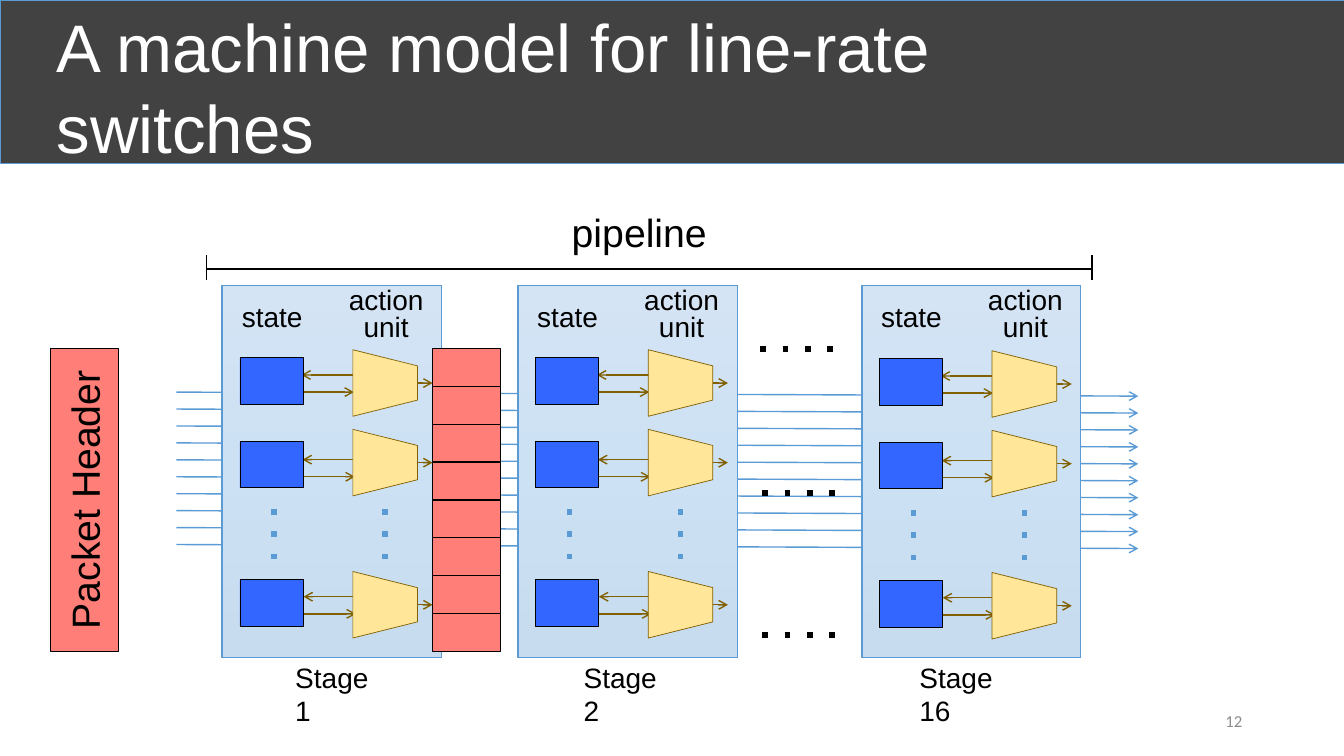
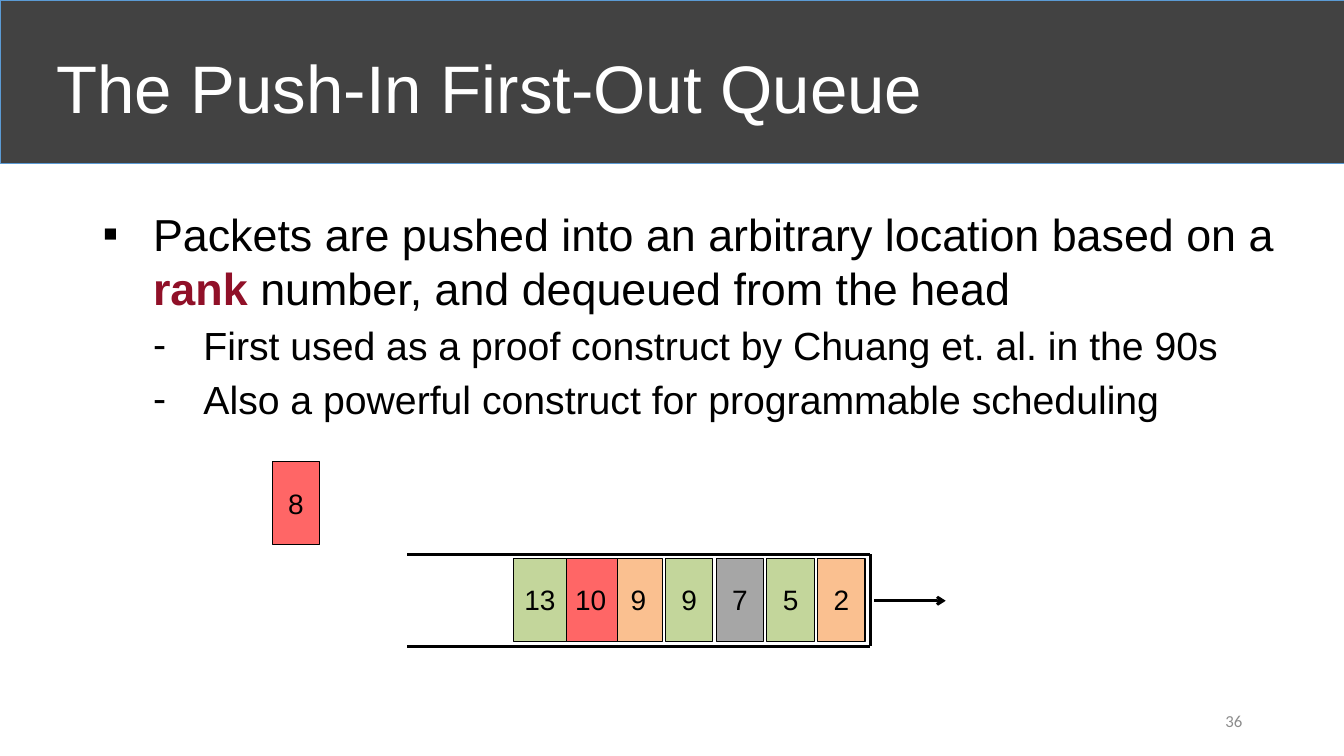
"""Build two slides: a switch pipeline model and the push-in first-out queue."""
import copy

import lxml.etree
import pptx
import pptx.dml.color
import pptx.enum.shapes
import pptx.enum.text
import pptx.oxml.ns
import pptx.util

Inches = pptx.util.Inches
Pt = pptx.util.Pt
RGBColor = pptx.dml.color.RGBColor
PRESET = pptx.enum.shapes.MSO_SHAPE
ALIGN = pptx.enum.text.PP_ALIGN
ANCHOR = pptx.enum.text.MSO_ANCHOR
qn = pptx.oxml.ns.qn

BLACK = RGBColor(0x00, 0x00, 0x00)
WHITE = RGBColor(0xFF, 0xFF, 0xFF)
CHARCOAL = RGBColor(0x42, 0x42, 0x42)
PAGE_GRAY = RGBColor(0x8C, 0x8C, 0x8C)
SKY = RGBColor(0x5B, 0x9B, 0xD5)
PANEL_TOP = RGBColor(0x71, 0xA6, 0xDB)
PANEL_MIDDLE = RGBColor(0x55, 0x9B, 0xDB)
PANEL_BOTTOM = RGBColor(0x44, 0x8A, 0xCA)
SALMON = RGBColor(0xFF, 0x7E, 0x77)
STATE_BLUE = RGBColor(0x33, 0x66, 0xFF)
UNIT_YELLOW = RGBColor(0xFF, 0xE6, 0x99)
BROWN = RGBColor(0x80, 0x60, 0x00)
RANK_RED = RGBColor(0x90, 0x10, 0x28)
ORANGE = RGBColor(0xFA, 0xC0, 0x90)
GREEN = RGBColor(0xC3, 0xD6, 0x9B)
GRAY = RGBColor(0xA6, 0xA6, 0xA6)
RED = RGBColor(0xFF, 0x66, 0x66)

TITLE_FRAME = {
    "auto_size": pptx.enum.text.MSO_AUTO_SIZE.NONE,
    "word_wrap": True,
    "vertical_anchor": ANCHOR.MIDDLE,
}
TITLE_FONT = {"name": "Arial", "size": Pt(48), "bold": False}
CENTERED = {"alignment": ALIGN.CENTER}
TIGHT = {"alignment": ALIGN.CENTER, "line_spacing": 0.8}
PADDED = {
    "margin_left": Inches(0.14),
    "margin_right": Inches(0.14),
    "margin_top": Inches(0.07),
    "margin_bottom": Inches(0.07),
}


def add_box(slide, place, text="", size=20, fill=None, outline=BLACK, weight=0.5,
            preset=PRESET.RECTANGLE, frame={}, layout={}, ink=BLACK, face="Arial"):
    place = [Inches(length) for length in place]
    if fill is None:
        box = slide.shapes.add_textbox(*place)
    else:
        box = slide.shapes.add_shape(preset, *place)
        box.shadow.inherit = False
        box.fill.solid()
        box.fill.fore_color.rgb = fill
        box.line.color.rgb = outline
        box.line.width = Pt(weight)
    if text:
        paragraph = box.text_frame.paragraphs[0]
        run = paragraph.add_run()
        run.text = text
        run.font.color.rgb = ink
        for target, values in (
            (box.text_frame, {"word_wrap": True, **frame}),
            (paragraph, layout),
            (run.font, {"name": face, "size": Pt(size)}),
        ):
            for key, value in values.items():
                setattr(target, key, value)
    return box


def add_line(slide, x1, y1, x2, y2, color=BLACK, weight=1, dotted=False, arrow=False):
    line = slide.shapes.add_connector(
        pptx.enum.shapes.MSO_CONNECTOR.STRAIGHT,
        Inches(x1), Inches(y1), Inches(x2), Inches(y2))
    line.line.color.rgb = color
    line.line.width = Pt(weight)
    stroke = line.line._get_or_add_ln()
    if dotted:
        lxml.etree.SubElement(stroke, qn("a:prstDash"), val="dot")
    if arrow:
        lxml.etree.SubElement(stroke, qn("a:tailEnd"), type="arrow")
    lxml.etree.SubElement(line._element.spPr, qn("a:effectLst"))


deck = pptx.Presentation()
deck.slide_width = Inches(13.33)
deck.slide_height = Inches(7.5)
title_only = deck.slide_layouts[5]
pages = []
for heading, number in (
    ("A machine model for line-rate switches", "12"),
    ("The Push-In First-Out Queue", "36"),
):
    page = deck.slides.add_slide(title_only)
    title = page.shapes.title
    title.left, title.top = Inches(0.46), Inches(0.13)
    title.width, title.height = Inches(11.5), Inches(1.45)
    title.text = heading
    paragraph = title.text_frame.paragraphs[0]
    paragraph.alignment = ALIGN.LEFT
    paragraph.font.color.rgb = WHITE
    for target, values in ((title.text_frame, TITLE_FRAME), (paragraph.font, TITLE_FONT)):
        for key, value in values.items():
            setattr(target, key, value)
    add_box(page, (9.42, 6.95, 3, 0.4), number, 12, ink=PAGE_GRAY, face="Calibri",
            frame={"vertical_anchor": ANCHOR.MIDDLE}, layout={"alignment": ALIGN.RIGHT})
    pages.append(page)
model, queue = pages

band = add_box(model, (0, 0, 13.33, 1.62), fill=CHARCOAL, outline=SKY)
title_only.shapes.element.insert(2, band._element)

for lane in range(10):
    lane_y = 3.89 + 0.168 * lane
    add_line(model, 1.75, lane_y, 11.29, lane_y + 0.04, SKY, arrow=True)
for dots_x, dots_y in ((7.54, 3.46), (7.56, 4.89), (7.56, 6.3)):
    add_line(model, dots_x, dots_y, dots_x + 0.86, dots_y, weight=4, dotted=True)

for bracket_x in (2.05, 10.83):
    add_line(model, bracket_x, 2.53, bracket_x, 2.78)
add_line(model, 10.83, 2.67, 2.05, 2.67)
add_box(model, (4.89, 2, 2.9, 0.62), "pipeline", 28, frame=PADDED, layout=CENTERED)

stages = (
    ("Stage 1", 2.2, 2.83, 1.03, 0),
    ("Stage 2", 5.13, 5.69, 1.07, 0),
    ("Stage 16", 8.54, 9.02, 1.18, 0.01),
)
for stage, left, label_left, label_width, drop in stages:
    panel = add_box(model, (left, 2.83, 2.18, 3.69), fill=SKY, outline=SKY)
    panel.fill.gradient()
    panel.fill.gradient_angle = 270
    stop_list = panel._element.find(".//" + qn("a:gsLst"))
    stop_list.insert(1, copy.deepcopy(stop_list[0]))
    gradient = zip(panel.fill.gradient_stops, (0, 0.5, 1),
                   (PANEL_TOP, PANEL_MIDDLE, PANEL_BOTTOM))
    for stop, position, shade in gradient:
        stop.position = position
        stop.color.rgb = shade
    veil = add_box(model, (left + 0.01, 2.83, 2.17, 3.69), fill=WHITE, outline=SKY)
    tint = veil._element.spPr.find(qn("a:solidFill"))[0]
    lxml.etree.SubElement(tint, qn("a:alpha"), val="70000")
    add_box(model, (label_left, 6.5, label_width, 0.44), stage)

packet_header = add_box(model, (0.5, 3.46, 0.67, 3), "Packet Header", 28, SALMON,
                        frame={"vertical_anchor": ANCHOR.MIDDLE}, layout=CENTERED)
packet_header.text_frame._txBody.bodyPr.set("vert", "vert270")
add_box(model, (4.29, 3.46, 0.67, 3), fill=SALMON)
for field in range(1, 8):
    field_y = 3.46 + 3 / 8 * field
    add_line(model, 4.29, field_y, 4.96, field_y)

for stage, left, label_left, label_width, drop in stages:
    rows = ((3.55, 3.72, 3.48), (4.38, 4.56, 4.27), (5.75, 5.92, 5.68))
    for row, (state_y, read_y, unit_y) in enumerate(rows):
        shift = left + 0.01 * row
        read_y += drop
        write_y = read_y + 0.17
        out_y = unit_y + drop + 0.32
        add_line(model, shift + 0.52, write_y, shift + 1.31, write_y, BROWN, arrow=True)
        add_line(model, shift + 1.38, read_y, shift + 0.79, read_y, BROWN, arrow=True)
        add_box(model, (left + 0.18, state_y + drop, 0.63, 0.46), fill=STATE_BLUE)
        unit = add_box(model, (left + 1.29, unit_y + drop, 0.66, 0.64), fill=UNIT_YELLOW,
                       outline=BROWN, preset=PRESET.TRAPEZOID)
        unit.rotation = 90
        add_line(model, left + 1.94, out_y, left + 2.09, out_y, BROWN, arrow=True)
    for dots_x in (left + 0.52, left + 1.62):
        add_line(model, dots_x, 5.05 + drop, dots_x, 5.59 + drop, SKY, 4, dotted=True)
    add_box(model, (left - 0.06, 2.97, 1.12, 0.42), "state", frame=PADDED, layout=TIGHT)
    add_box(model, (left + 1.09, 2.8, 1.08, 0.69), "action unit", frame=PADDED, layout=TIGHT)

points = queue.shapes.add_textbox(Inches(0.92), Inches(2), Inches(12), Inches(2.96)).text_frame
points.word_wrap = True
for index, (bullet, indent, size, parts) in enumerate((
    ("▪", 0.5, 32, ("Packets are pushed into an arbitrary location based on a ", "rank ",
                    "number, and dequeued from the head")),
    ("-", 1, 28, ("First used as a proof construct by Chuang et. al. in the 90s",)),
    ("-", 1, 28, ("Also a powerful construct for programmable scheduling",)),
)):
    point = points.add_paragraph() if index else points.paragraphs[0]
    if index:
        point.level = 1
        point.space_before = Pt(5)
    properties = point._p.get_or_add_pPr()
    properties.set("marL", str(Inches(indent)))
    properties.set("indent", str(Inches(-0.5)))
    lxml.etree.SubElement(properties, qn("a:buFont"), typeface="Arial")
    lxml.etree.SubElement(properties, qn("a:buChar"), char=bullet)
    for part in parts:
        run = point.add_run()
        run.text = part
        is_rank = part == "rank "
        run.font.color.rgb = RANK_RED if is_rank else BLACK
        for key, value in {"name": "Arial", "size": Pt(size), "bold": is_rank}.items():
            setattr(run.font, key, value)

add_line(queue, 8.67, 5.96, 9.38, 5.96, weight=2, arrow=True)
for wall_y in (5.5, 6.41):
    add_line(queue, 4.04, wall_y, 8.63, wall_y, weight=2)
add_line(queue, 8.63, 6.41, 8.63, 5.5, weight=2)

queued = (("2", ORANGE), ("5", GREEN), ("7", GRAY), ("9", GREEN),
          ("9", ORANGE), ("10", RED), ("13", GREEN))
pitch = (8.11 - 5.09) / (len(queued) - 1)
packets = [(8.11 - pitch * slot, 5.54, rank, color)
           for slot, (rank, color) in enumerate(queued)]
packets.append((2.7, 4.58, "8", RED))
for packet_x, packet_y, rank, color in packets:
    packet_width = 0.47 if len(rank) == 1 else 0.53
    add_box(queue, (packet_x, packet_y, packet_width, 0.82), rank, fill=color, weight=0.75,
            frame={"vertical_anchor": ANCHOR.MIDDLE}, layout=CENTERED)

deck.save("out.pptx")
